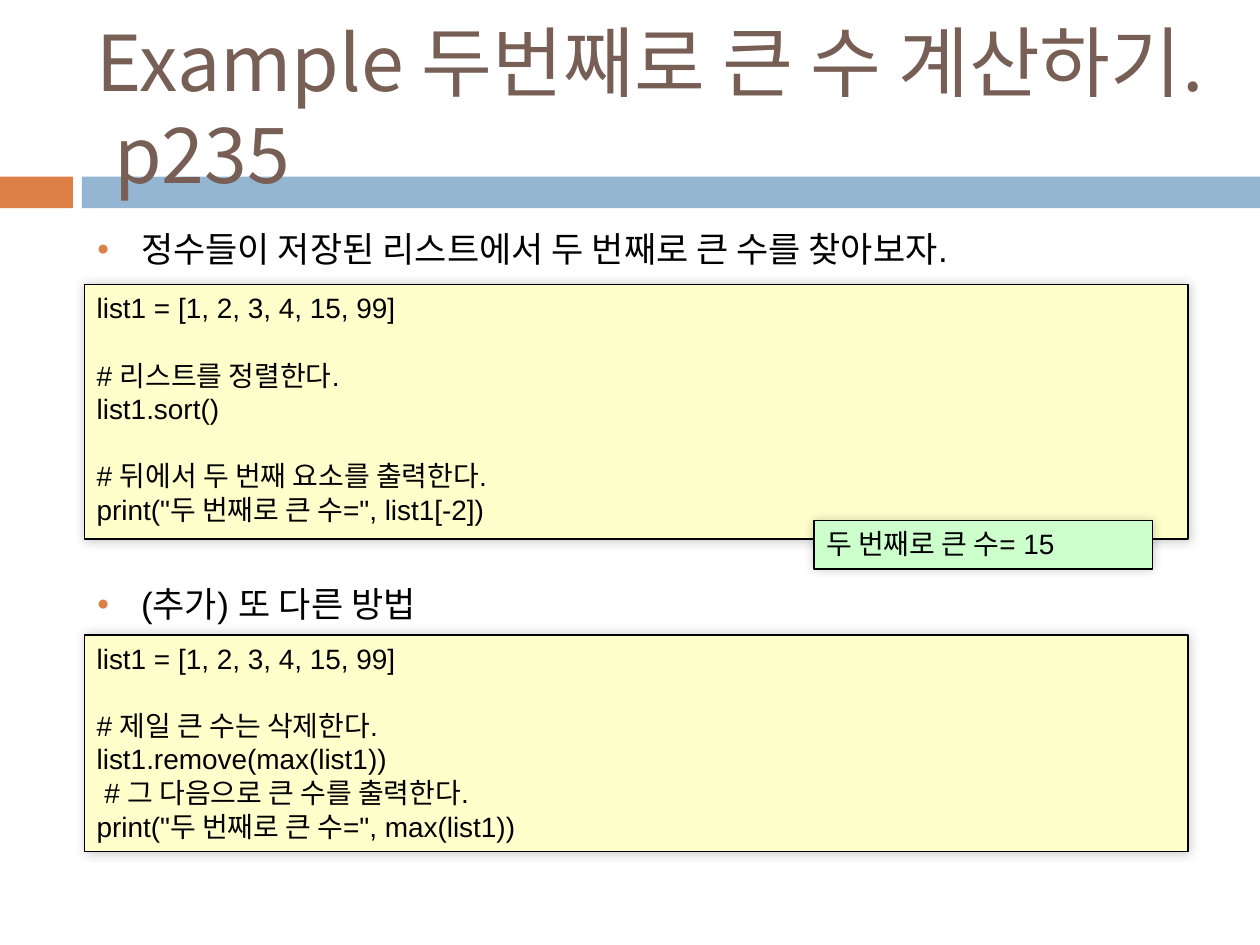
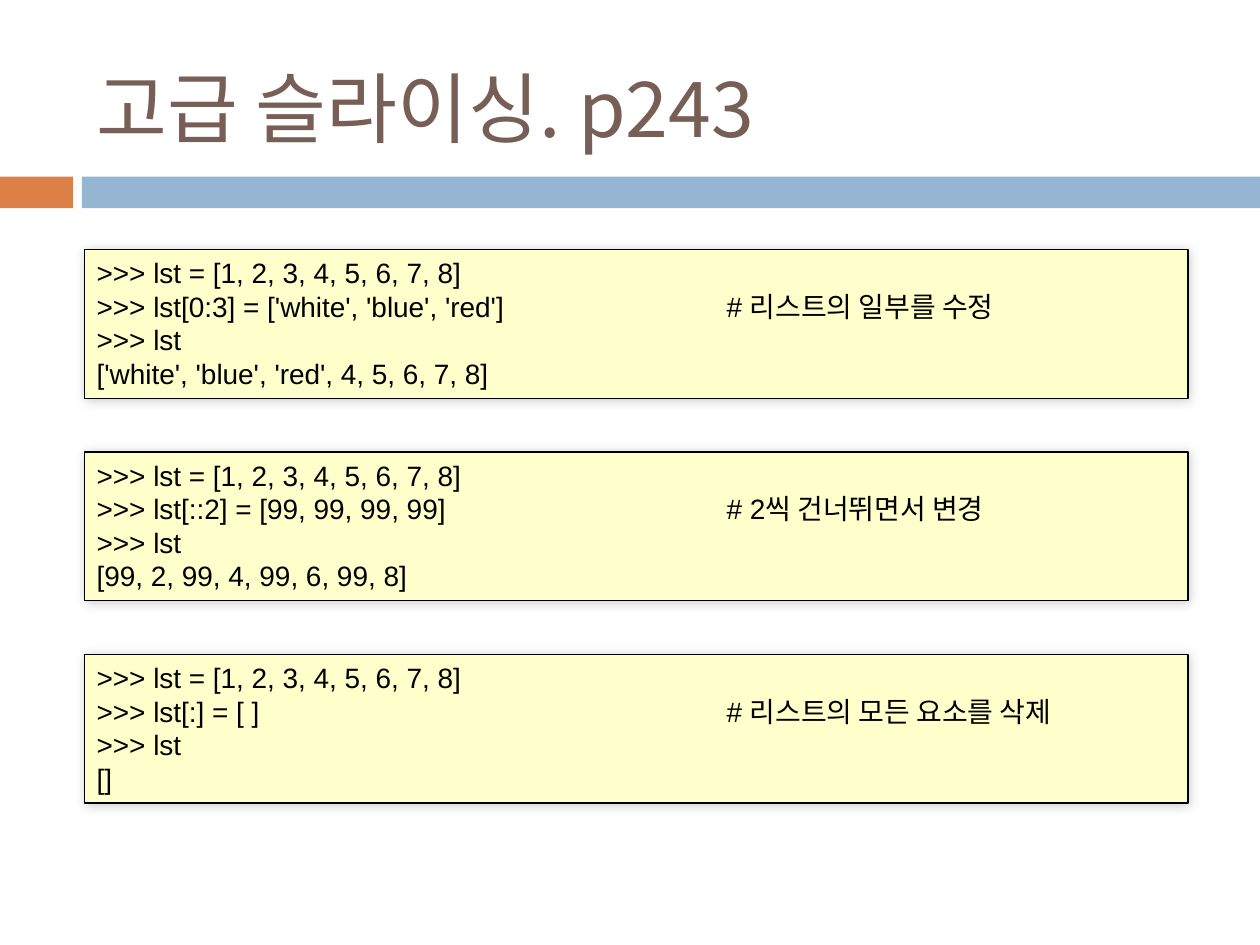
from dataclasses import dataclass

import lxml.etree
import pptx
import pptx.dml.color
import pptx.enum.shapes
import pptx.enum.text
import pptx.oxml.ns
import pptx.shapes.autoshape
import pptx.slide
import pptx.text.text
import pptx.util

Cm = pptx.util.Cm
Pt = pptx.util.Pt
RGBColor = pptx.dml.color.RGBColor

ORANGE = RGBColor(0xDD, 0x80, 0x47)
BLUE = RGBColor(0x94, 0xB6, 0xD2)
BROWN = RGBColor(0x77, 0x5F, 0x55)
BLACK = RGBColor(0x00, 0x00, 0x00)
CODE_YELLOW = RGBColor(0xFF, 0xFF, 0xCC)
OUTPUT_GREEN = RGBColor(0xCC, 0xFF, 0xCC)

TITLE_FONT = "Noto Sans CJK KR"
TEXT_FONT = "Arial"
LINE_RATIO = 1.2
LEFT = 1.7
CODE_WIDTH = 22.25
PLACEHOLDER_WIDTH = 22.66
COMMENT_TAB = 12.7
TITLE_LAYOUT = 5
LIST_LAYOUT = 1


@dataclass(frozen=True)
class Box:
    left: float
    top: float
    width: float
    height: float
    fill: RGBColor


@dataclass(frozen=True)
class CodeBox:
    box: Box
    blocks: tuple[tuple[str, ...], ...]


BANDS = (Box(0, 3.56, 1.47, 0.64, ORANGE), Box(1.65, 3.56, 23.75, 0.64, BLUE))

SECOND_LARGEST = (
    CodeBox(
        Box(LEFT, 5.74, CODE_WIDTH, 5.13, CODE_YELLOW),
        (
            ("list1 = [1, 2, 3, 4, 15, 99]",),
            ("# 리스트를 정렬한다.", "list1.sort()"),
            ("# 뒤에서 두 번째 요소를 출력한다.", 'print("두 번째로 큰 수=", list1[-2])'),
        ),
    ),
    CodeBox(Box(16.41, 10.5, 6.83, 0.97, OUTPUT_GREEN), (("두 번째로 큰 수= 15",),)),
    CodeBox(
        Box(LEFT, 12.8, CODE_WIDTH, 4.37, CODE_YELLOW),
        (
            ("list1 = [1, 2, 3, 4, 15, 99]",),
            (
                "# 제일 큰 수는 삭제한다.",
                "list1.remove(max(list1))",
                " # 그 다음으로 큰 수를 출력한다.",
                'print("두 번째로 큰 수=", max(list1))',
            ),
        ),
    ),
)

SLICE_EXAMPLES = (
    ("lst[0:3] = ['white', 'blue', 'red']", "# 리스트의 일부를 수정", "['white', 'blue', 'red', 4, 5, 6, 7, 8]"),
    ("lst[::2] = [99, 99, 99, 99]", "# 2씩 건너뛰면서 변경", "[99, 2, 99, 4, 99, 6, 99, 8]"),
    ("lst[:] = [ ]", "# 리스트의 모든 요소를 삭제", "[]"),
)


def add_element(parent: lxml.etree._Element, tag: str, **attributes: str) -> lxml.etree._Element:
    element = lxml.etree.SubElement(parent, pptx.oxml.ns.qn(tag))
    for name, value in attributes.items():
        element.set(name, value)
    return element


def format_paragraph(
    paragraph: pptx.text.text._Paragraph, font_name: str, size: float, color: RGBColor, space_before: float = 0
) -> None:
    paragraph.alignment = pptx.enum.text.PP_ALIGN.LEFT
    paragraph.line_spacing = Pt(size * LINE_RATIO)
    paragraph.space_before = Pt(space_before)
    paragraph.font.name = font_name
    paragraph.font.size = Pt(size)
    paragraph.font.color.rgb = color


def add_rectangle(slide: pptx.slide.Slide, box: Box) -> pptx.shapes.autoshape.Shape:
    shape = slide.shapes.add_shape(
        pptx.enum.shapes.MSO_SHAPE.RECTANGLE, Cm(box.left), Cm(box.top), Cm(box.width), Cm(box.height)
    )
    shape.shadow.inherit = False
    shape.fill.solid()
    shape.fill.fore_color.rgb = box.fill
    shape.line.fill.background()
    return shape


def add_master_bands(slide: pptx.slide.Slide, master: pptx.slide.SlideMaster) -> None:
    for number, band in enumerate(BANDS, 101):
        shape = add_rectangle(slide, band)
        shape.element.nvSpPr.cNvPr.set("id", str(number))
        master.shapes.element.append(shape.element)


def add_soft_shadow(shape: pptx.shapes.autoshape.Shape) -> None:
    effects = shape.element.spPr.find(pptx.oxml.ns.qn("a:effectLst"))
    shadow = add_element(effects, "a:outerShdw", blurRad=str(Pt(6)), dist="0", dir="18900000", rotWithShape="0")
    color = add_element(shadow, "a:srgbClr", val=str(BLACK))
    add_element(color, "a:alpha", val="20000")


def add_code_box(slide: pptx.slide.Slide, code: CodeBox) -> None:
    shape = add_rectangle(slide, code.box)
    add_soft_shadow(shape)
    shape.line.color.rgb = BLACK
    shape.line.width = Pt(0.75)
    frame = shape.text_frame
    frame.word_wrap = True
    frame.vertical_anchor = pptx.enum.text.MSO_ANCHOR.TOP
    size = 16
    lines = [
        (text, size * LINE_RATIO if block_index and not line_index else 0)
        for block_index, block in enumerate(code.blocks)
        for line_index, text in enumerate(block)
    ]
    for index, (text, gap) in enumerate(lines):
        paragraph = frame.add_paragraph() if index else frame.paragraphs[0]
        paragraph.text = text
        if "\t" in text:
            tabs = add_element(paragraph._p.get_or_add_pPr(), "a:tabLst")
            add_element(tabs, "a:tab", pos=str(Cm(COMMENT_TAB)), algn="l")
        format_paragraph(paragraph, TEXT_FONT, size, BLACK, gap)


def place(shape: pptx.shapes.autoshape.Shape, top: float, height: float) -> pptx.text.text.TextFrame:
    shape.left, shape.top = Cm(LEFT), Cm(top)
    shape.width, shape.height = Cm(PLACEHOLDER_WIDTH), Cm(height)
    shape.text_frame.auto_size = pptx.enum.text.MSO_AUTO_SIZE.NONE
    return shape.text_frame


def set_title(slide: pptx.slide.Slide, text: str) -> None:
    frame = place(slide.shapes.title, 0.64, 2.74)
    frame.vertical_anchor = pptx.enum.text.MSO_ANCHOR.MIDDLE
    frame.margin_top = Cm(0.4)
    frame.text = text
    format_paragraph(frame.paragraphs[0], TITLE_FONT, 44, BROWN)


def set_bullets(slide: pptx.slide.Slide, bullets: tuple[tuple[str, float], ...]) -> None:
    frame = place(slide.placeholders[1], 4.45, 12.5)
    for index, (text, gap) in enumerate(bullets):
        paragraph = frame.add_paragraph() if index else frame.paragraphs[0]
        paragraph.text = text
        properties = paragraph._p.get_or_add_pPr()
        properties.set("marL", str(Cm(0.89)))
        properties.set("indent", str(-Cm(0.89)))
        add_element(add_element(properties, "a:buClr"), "a:srgbClr", val=str(ORANGE))
        add_element(properties, "a:buSzPct", val="60000")
        add_element(properties, "a:buFont", typeface=TEXT_FONT)
        add_element(properties, "a:buChar", char="●")
        format_paragraph(paragraph, TEXT_FONT, 20, BLACK, gap)


def build_second_largest(slide: pptx.slide.Slide) -> None:
    set_title(slide, "Example 두번째로 큰 수 계산하기. p235")
    set_bullets(slide, (("정수들이 저장된 리스트에서 두 번째로 큰 수를 찾아보자.", 0), ("(추가) 또 다른 방법", 179)))
    for code in SECOND_LARGEST:
        add_code_box(slide, code)


def build_slicing(slide: pptx.slide.Slide) -> None:
    set_title(slide, "고급 슬라이싱. p243")
    for index, (statement, comment, result) in enumerate(SLICE_EXAMPLES):
        lines = (">>> lst = [1, 2, 3, 4, 5, 6, 7, 8]", f">>> {statement}\t{comment}", ">>> lst", result)
        box = Box(LEFT, 5.03 + index * 4.08, CODE_WIDTH, 3, CODE_YELLOW)
        add_code_box(slide, CodeBox(box, (lines,)))


def main() -> None:
    presentation = pptx.Presentation()
    presentation.slide_width, presentation.slide_height = Cm(25.4), Cm(19.05)
    layouts = presentation.slide_layouts
    first_slide = presentation.slides.add_slide(layouts[LIST_LAYOUT])
    add_master_bands(first_slide, presentation.slide_master)
    build_second_largest(first_slide)
    build_slicing(presentation.slides.add_slide(layouts[TITLE_LAYOUT]))
    presentation.save("out.pptx")


if __name__ == "__main__":
    main()
